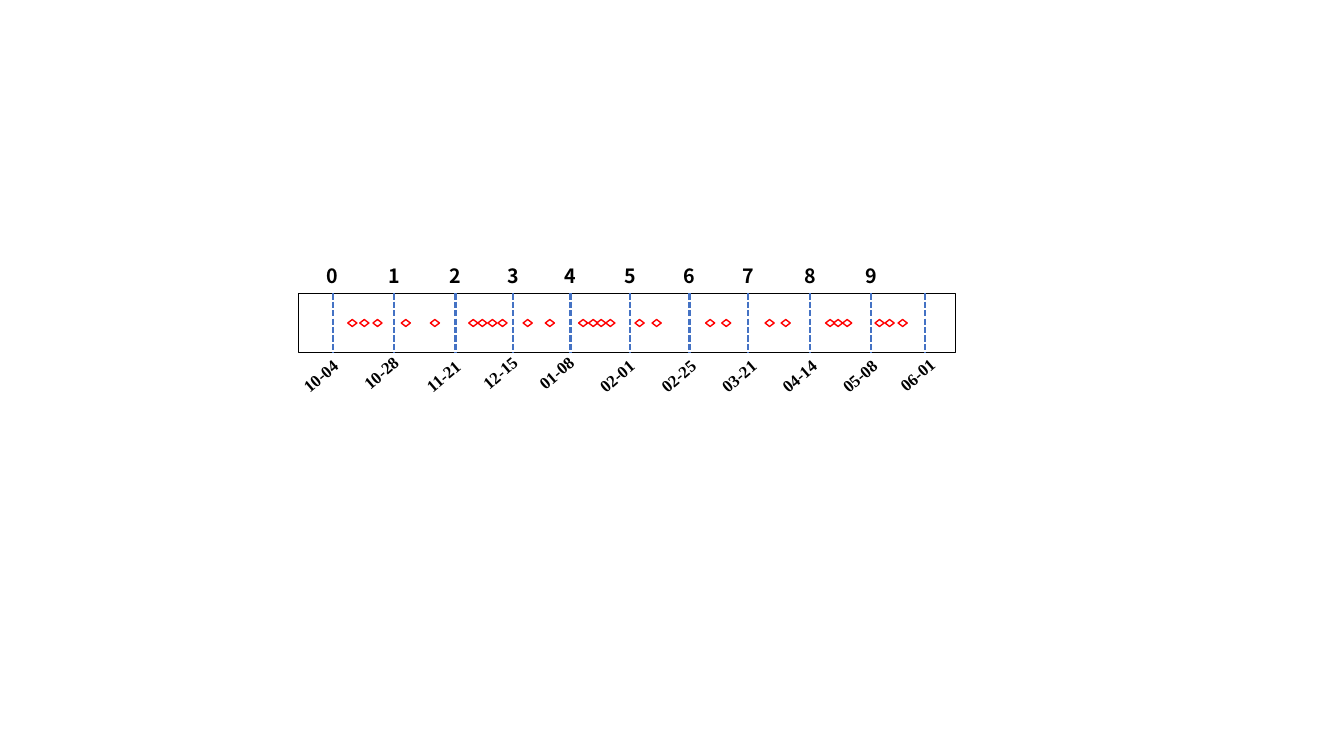
from pptx import Presentation
from pptx.dml.color import RGBColor
from pptx.enum.dml import MSO_LINE_DASH_STYLE as Dash
from pptx.enum.shapes import MSO_CONNECTOR_TYPE as Connector, MSO_SHAPE as Shape
from pptx.enum.text import MSO_AUTO_SIZE as AutoSize
from pptx.oxml.ns import qn
from pptx.util import Pt
from lxml.etree import SubElement

BAR_LEFT, BAR_TOP, BAR_WIDTH, BAR_HEIGHT = 213.1, 209.5, 469.4, 42.5
DIAMOND_WIDTH, DIAMOND_HEIGHT = 6.5, 5
NUMBER_WIDTH, NUMBER_HEIGHT, NUMBER_TOP = 22.4, 24.3, 185.2
DATE_WIDTH, DATE_HEIGHT, DATE_ANGLE = 52.6, 21.8, 319.3

# Boundary x, date, left and top of the date, left edges of the events that follow
PERIODS = [
    (237.6, "10-04", 206.6, 254.2, [248.4, 257, 266.4]),
    (281.5, "10-28", 249.8, 252, [286.6, 307.4]),
    (325.4, "11-21", 294.5, 254.2, [334.8, 341.3, 348.5, 355.7]),
    (366.5, "12-15", 334.8, 252, [373.7, 389.5]),
    (407.5, "01-08", 375.1, 252, [413.3, 420.5, 426.2, 432.7]),
    (450, "02-01", 418.3, 254.2, [453.6, 465.8]),
    (492.5, "02-25", 462.2, 254.2, [504, 515.5]),
    (534.2, "03-21", 505.4, 254.2, [546.5, 558]),
    (578.9, "04-14", 548.6, 254.2, [589.7, 595.4, 601.9]),
    (622.1, "05-08", 591.8, 254.2, [625, 632.2, 641.5]),
    (661, "06-01", 632.9, 253.4, []),
]


def color(value):
    return RGBColor.from_string(value)


def add_outline(slide, kind, left, top, width, height, line, fill=None):
    shape = slide.shapes.add_shape(kind, Pt(left), Pt(top), Pt(width), Pt(height))
    shape.shadow.inherit = False
    if fill:
        shape.fill.solid()
        shape.fill.fore_color.rgb = color(fill)
    else:
        shape.fill.background()
    shape.line.color.rgb = color(line)
    shape.line.width = Pt(1)


def add_boundary(slide, x):
    line = slide.shapes.add_connector(
        Connector.STRAIGHT, Pt(x), Pt(BAR_TOP), Pt(x), Pt(BAR_TOP + BAR_HEIGHT))
    line.line.color.rgb = color("4472C4")
    line.line.width = Pt(1.5)
    line.line.dash_style = Dash.SQUARE_DOT
    SubElement(line._element.spPr, qn("a:effectLst"))


def add_label(slide, text, left, top, width, height, font, size, wrap=True, angle=0):
    box = slide.shapes.add_textbox(Pt(left), Pt(top), Pt(width), Pt(height))
    box.rotation = angle
    frame = box.text_frame
    frame.word_wrap = wrap
    frame.auto_size = AutoSize.SHAPE_TO_FIT_TEXT
    para = frame.paragraphs[0]
    para.text = text
    para.font.name = font
    para.font.size = Pt(size)
    para.font.bold = True
    para.font.color.rgb = color("000000")


def main():
    deck = Presentation()
    deck.slide_width, deck.slide_height = Pt(960), Pt(540)
    slide = deck.slides.add_slide(deck.slide_layouts[6])

    add_outline(slide, Shape.RECTANGLE, BAR_LEFT, BAR_TOP, BAR_WIDTH, BAR_HEIGHT,
                "000000", "FFFFFF")
    diamond_top = BAR_TOP + (BAR_HEIGHT - DIAMOND_HEIGHT) / 2
    for number, (x, date, date_left, date_top, events) in enumerate(PERIODS):
        add_boundary(slide, x)
        if events:
            add_label(slide, str(number), x - NUMBER_WIDTH / 2, NUMBER_TOP,
                      NUMBER_WIDTH, NUMBER_HEIGHT, "Noto Sans CJK SC", 14, wrap=False)
        add_label(slide, date, date_left, date_top, DATE_WIDTH, DATE_HEIGHT,
                  "Times New Roman", 12, angle=DATE_ANGLE)
        for left in events:
            add_outline(slide, Shape.DIAMOND, left, diamond_top,
                        DIAMOND_WIDTH, DIAMOND_HEIGHT, "FF0000")

    deck.save("out.pptx")


if __name__ == "__main__":
    main()
